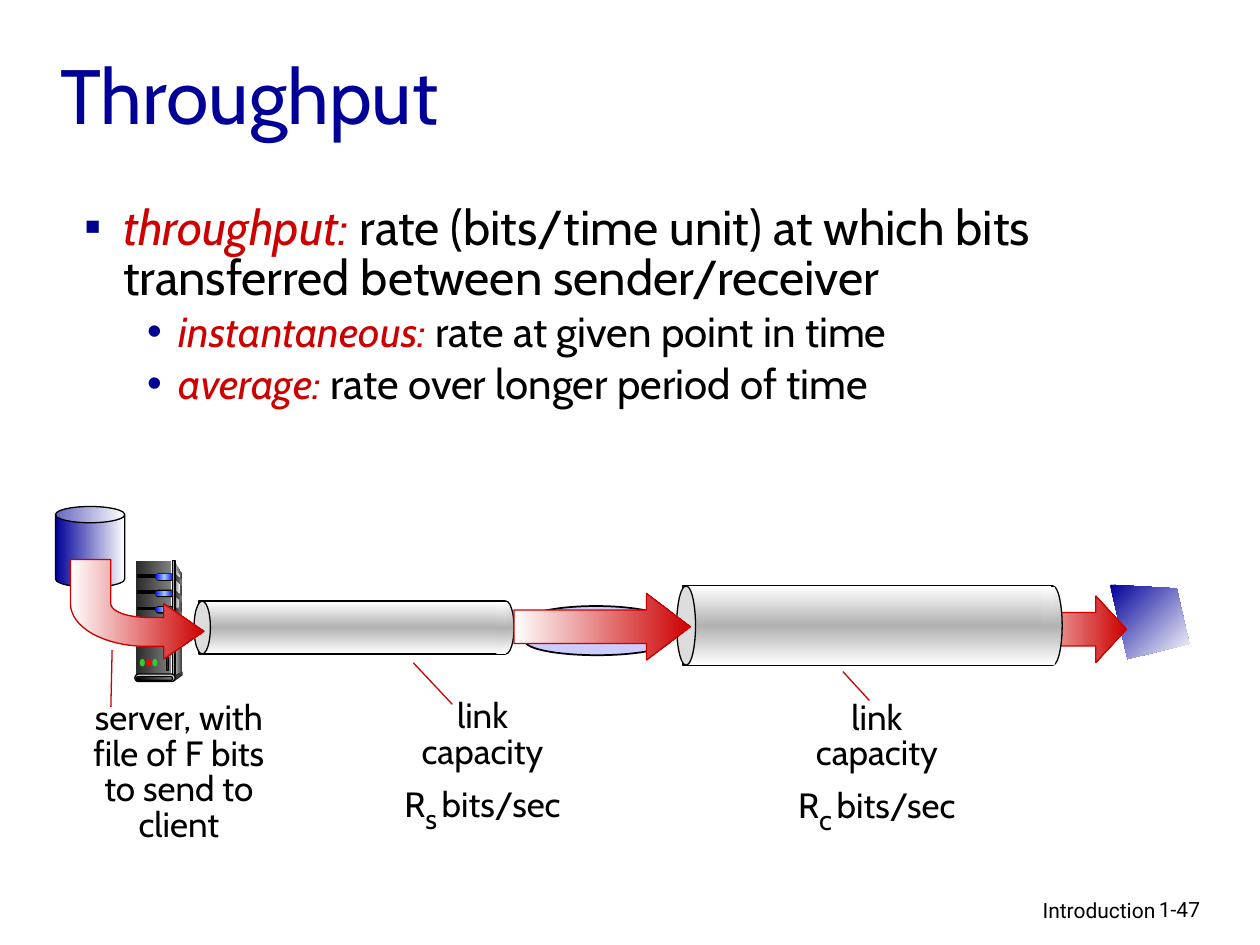
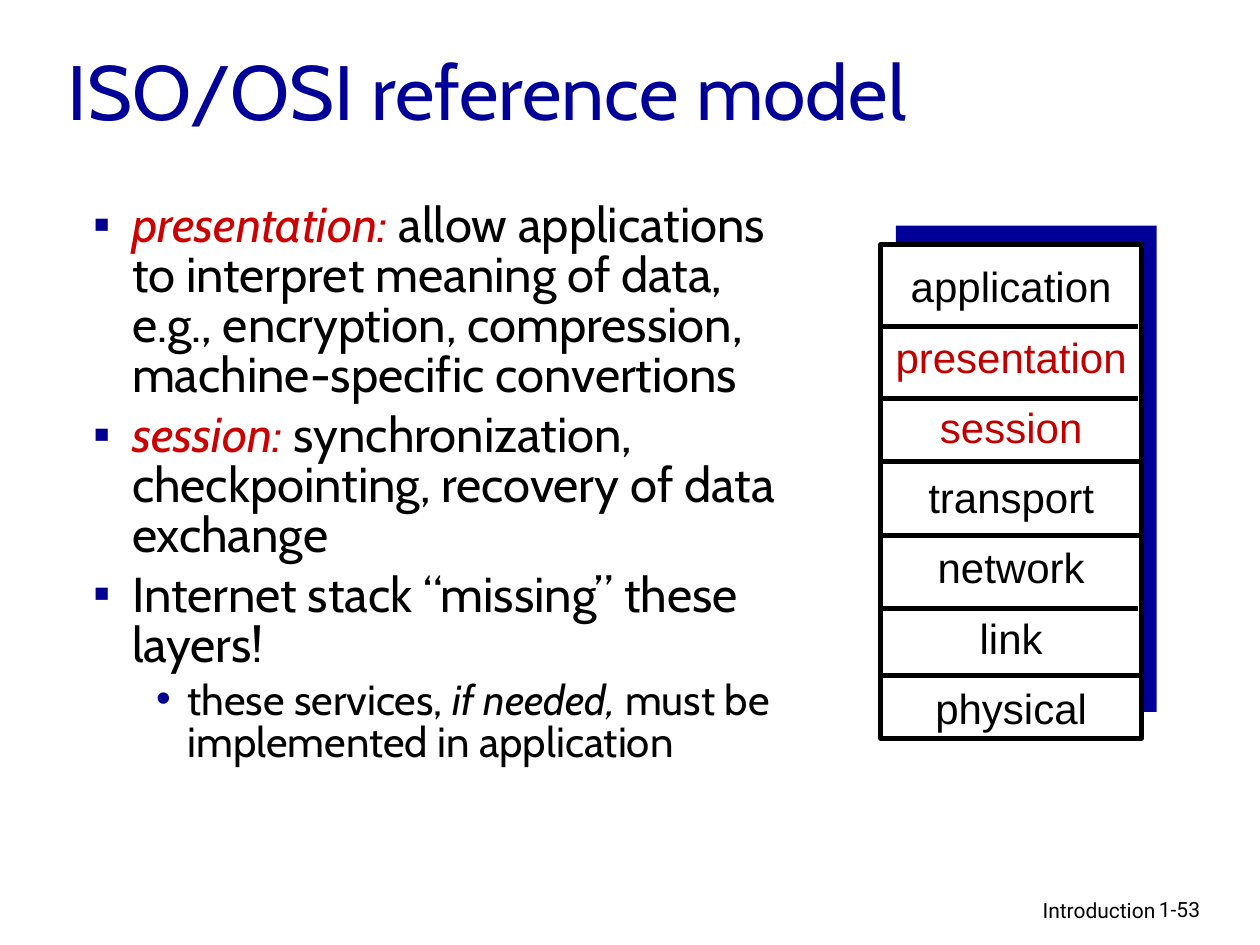
from dataclasses import dataclass

from lxml import etree
from pptx import Presentation
from pptx.dml.color import RGBColor
from pptx.enum.shapes import MSO_CONNECTOR, MSO_SHAPE
from pptx.enum.text import MSO_ANCHOR, PP_ALIGN
from pptx.oxml.ns import qn
from pptx.util import Pt

PX = 9144  # 100 px to the inch

RECT, ELLIPSE, CAN = MSO_SHAPE.RECTANGLE, MSO_SHAPE.OVAL, MSO_SHAPE.CAN
PILL, ARROW = MSO_SHAPE.ROUNDED_RECTANGLE, MSO_SHAPE.RIGHT_ARROW
LEFT, CENTER, RIGHT = PP_ALIGN.LEFT, PP_ALIGN.CENTER, PP_ALIGN.RIGHT
TOP, MIDDLE = MSO_ANCHOR.TOP, MSO_ANCHOR.MIDDLE
STRAIGHT = MSO_CONNECTOR.STRAIGHT

BLACK = RGBColor(0x00, 0x00, 0x00)
WHITE = RGBColor(0xFF, 0xFF, 0xFF)
NAVY = RGBColor(0x00, 0x00, 0x99)
BULLET_NAVY = RGBColor(0x00, 0x00, 0x90)
RED = RGBColor(0xCC, 0x00, 0x00)
LAYER_RED = RGBColor(0xC0, 0x00, 0x00)
LAVENDER = RGBColor(0xCC, 0xCC, 0xFF)
BLUE = RGBColor(0x00, 0x00, 0xFF)
SKY = RGBColor(0x99, 0xCC, 0xFF)
LED_GREEN = RGBColor(0x33, 0xCC, 0x33)
LED_RED = RGBColor(0xFF, 0x00, 0x00)
COAL = RGBColor(0x29, 0x29, 0x29)
DARK = RGBColor(0x33, 0x33, 0x33)
GRAY = RGBColor(0x80, 0x80, 0x80)
SILVER = RGBColor(0xB2, 0xB2, 0xB2)
LIGHT = RGBColor(0xDD, 0xDD, 0xDD)

HEADING_FONT, LAYER_FONT, FOOTER_FONT = "Cabin", "Arial", "Roboto"

Box = tuple[int, int, int, int]
Point = tuple[float, float]


@dataclass(frozen=True)
class Gradient:
    """Evenly spaced colour stops; the angle runs clockwise."""
    stops: tuple[RGBColor, ...]
    angle: int = 0


Fill = RGBColor | Gradient
NAVY_FADE = Gradient((NAVY, WHITE))
RED_FADE = Gradient((WHITE, RED))
PIPE_SHEEN = Gradient((WHITE, SILVER, WHITE), 90)
COAL_FADE = Gradient((COAL, GRAY))
LAMP = Gradient((BLUE, SKY, BLUE))


@dataclass(frozen=True)
class Run:
    text: str
    color: RGBColor | None = None
    italic: bool = False
    size: float | None = None
    baseline: int = 0


@dataclass(frozen=True)
class Bullet:
    mark: str
    level: int
    size: int
    indent: int
    hang: int


@dataclass(frozen=True)
class Para:
    runs: tuple[Run, ...]
    bullet: Bullet | None = None


@dataclass(frozen=True)
class Pipe:
    left: int
    top: int
    width: int
    height: int
    cap: int


MAIN = Bullet("▪", 0, 28, 31, 31)
SUB = Bullet("•", 1, 24, 75, 25)


def term(text: str) -> Run:
    return Run(text, RED, True)


def para(*parts: str | Run, bullet: Bullet | None = None) -> Para:
    return Para(tuple(Run(p) if isinstance(p, str) else p for p in parts), bullet)


def emu(*lengths: float) -> list[int]:
    return [round(length * PX) for length in lengths]


def add_bullet(paragraph, bullet: Bullet) -> None:
    paragraph.level = bullet.level
    props = paragraph._p.get_or_add_pPr()
    props.set("marL", str(bullet.indent * PX))
    props.set("indent", str(-bullet.hang * PX))
    color = etree.SubElement(props, qn("a:buClr"))
    etree.SubElement(color, qn("a:srgbClr"), val=str(BULLET_NAVY))
    etree.SubElement(props, qn("a:buFont"), typeface=LAYER_FONT)
    etree.SubElement(props, qn("a:buChar"), char=bullet.mark)


def add_text(slide, box: Box, paras: list[Para], *, font: str = HEADING_FONT,
             size: float = 20, color: RGBColor = BLACK, align=LEFT, anchor=TOP,
             line_spacing: float = 1.0, gap: float = 0) -> None:
    """Bulleted paragraphs take their size and gap from their bullet."""
    frame = slide.shapes.add_textbox(*emu(*box)).text_frame
    frame.word_wrap = True
    frame.vertical_anchor = anchor
    for index, content in enumerate(paras):
        paragraph = frame.add_paragraph() if index else frame.paragraphs[0]
        bullet = content.bullet
        base_size = bullet.size if bullet else size
        if bullet:
            add_bullet(paragraph, bullet)
        paragraph.alignment = align
        paragraph.line_spacing = line_spacing
        if index:
            paragraph.space_before = Pt(0.2 * base_size if bullet else gap)
        for part in content.runs:
            run = paragraph.add_run()
            run.text = part.text
            run.font.name = font
            run.font.size = Pt(part.size or base_size)
            run.font.italic = part.italic
            run.font.color.rgb = part.color or color
            if part.baseline:
                run.font._element.set("baseline", str(part.baseline * 1000))


def paint(shape, fill: Fill, line: RGBColor | None, weight: float) -> None:
    shape.shadow.inherit = False
    if isinstance(fill, Gradient):
        shape.fill.gradient()
        gradient = shape._element.spPr.find(qn("a:gradFill"))
        stops = gradient.find(qn("a:gsLst"))
        stops.clear()
        for index, color in enumerate(fill.stops):
            position = index * 100000 // (len(fill.stops) - 1)
            stop = etree.SubElement(stops, qn("a:gs"), pos=str(position))
            etree.SubElement(stop, qn("a:srgbClr"), val=str(color))
        gradient.find(qn("a:lin")).set("ang", str(fill.angle * 60000))
    else:
        shape.fill.solid()
        shape.fill.fore_color.rgb = fill
    if line is None:
        shape.line.fill.background()
    else:
        shape.line.color.rgb = line
        shape.line.width = Pt(weight)


def add_preset(slide, kind, box: Box, fill: Fill, line: RGBColor | None = None,
               weight: float = 0.75, adjust: tuple[float, ...] = ()) -> None:
    shape = slide.shapes.add_shape(kind, *emu(*box))
    for index, value in enumerate(adjust):
        shape.adjustments[index] = value
    paint(shape, fill, line, weight)


def add_outline(slide, points: list[Point], fill: Fill,
                line: RGBColor | None = None) -> None:
    start, *rest = [tuple(emu(*point)) for point in points]
    builder = slide.shapes.build_freeform(*start, scale=1.0)
    builder.add_line_segments(rest, close=True)
    paint(builder.convert_to_shape(), fill, line, 0.75)


def add_line(slide, ends: Box, color: RGBColor, weight: float) -> None:
    line = slide.shapes.add_connector(STRAIGHT, *emu(*ends))
    line.line.color.rgb = color
    line.line.width = Pt(weight)
    etree.SubElement(line._element.spPr, qn("a:effectLst"))


def curve(a: Point, b: Point, c: Point, d: Point, steps: int = 16) -> list[Point]:
    """Points along a cubic Bézier curve."""
    points = []
    for step in range(steps + 1):
        t = step / steps
        weights = ((1 - t) ** 3, 3 * t * (1 - t) ** 2, 3 * t * t * (1 - t), t ** 3)
        points.append(tuple(sum(w * p[axis] for w, p in zip(weights, (a, b, c, d)))
                            for axis in (0, 1)))
    return points


def add_server(slide) -> None:
    add_outline(slide, [(138, 445), (145, 457), (145, 533), (137, 537)],
                Gradient((LIGHT, DARK)))
    add_preset(slide, RECT, (108, 445, 28, 91), COAL_FADE)
    add_outline(slide, [(139, 451), (143, 458), (140, 500), (139, 535)],
                Gradient((GRAY, WHITE)))
    for top in range(455, 494, 13):
        add_preset(slide, RECT, (109, top + 1, 16, 2), BLACK, BLACK)
        add_preset(slide, PILL, (123, top, 16, 6), BLACK, adjust=(0.5,))
        add_preset(slide, PILL, (123, top + 1, 15, 4), LAMP, adjust=(0.5,))
        add_outline(slide, [(138, top), (145, top + 6), (145, top + 10),
                            (138, top + 4)], COAL_FADE)
    add_preset(slide, RECT, (137, 445, 2, 91), Gradient((DARK, LIGHT, DARK)), BLACK)
    add_outline(slide, [(138, 536), (138, 541), (145, 536), (145, 533)], DARK)
    add_preset(slide, PILL, (107, 535, 32, 6), LIGHT, BLACK, adjust=(0.5,))
    add_preset(slide, PILL, (108, 537, 29, 3), Gradient((BLACK, GRAY)), BLACK,
               adjust=(0.5,))
    for index, led in enumerate((LED_GREEN, LED_RED, LED_GREEN)):
        add_preset(slide, ELLIPSE, (111 + 5 * index, 523, 4, 6), led)
    add_preset(slide, RECT, (132, 502, 2, 30), COAL, BLACK)


def add_pipe(slide, pipe: Pipe) -> None:
    right_cap = pipe.left + pipe.width - pipe.cap
    body_left = pipe.left + pipe.cap // 3
    body_width = right_cap + pipe.cap // 2 - body_left
    add_preset(slide, ELLIPSE, (right_cap, pipe.top, pipe.cap, pipe.height),
               PIPE_SHEEN, BLACK)
    add_preset(slide, RECT, (body_left, pipe.top, body_width, pipe.height),
               PIPE_SHEEN, BLACK)
    add_preset(slide, ELLIPSE, (pipe.left, pipe.top, pipe.cap, pipe.height),
               LIGHT, BLACK)
    add_preset(slide, RECT, (right_cap - 1, pipe.top + 1, pipe.cap * 2 // 3,
                             pipe.height - 1), PIPE_SHEEN)


def start_slide(deck, title: str, title_box: Box, page: str):
    slide = deck.slides.add_slide(deck.slide_layouts[6])
    add_text(slide, (610, 707, 317, 31), [para("Introduction")],
             font=FOOTER_FONT, size=12, align=RIGHT)
    add_text(slide, (910, 707, 74, 30), [para(page)], font=FOOTER_FONT, size=12)
    add_text(slide, title_box, [para(title)], size=44, color=NAVY, anchor=MIDDLE)
    return slide


def build_throughput(deck) -> None:
    slide = start_slide(deck, "Throughput", (38, 12, 850, 125), "1-47")
    add_preset(slide, CAN, (44, 402, 55, 64), NAVY_FADE, BLACK, adjust=(0.235,))
    add_server(slide)
    add_outline(slide, [(881, 464), (934, 467), (944, 511), (895, 523)],
                Gradient((NAVY, WHITE), 45))
    add_text(slide, (57, 158, 850, 195), [
        para(term("throughput:"), " rate (bits/time unit) at which bits transferred"
             " between sender/receiver", bullet=MAIN),
        para(term("instantaneous:"), " rate at given point in time", bullet=SUB),
        para(term("average:"), " rate over longer period of time", bullet=SUB),
    ], line_spacing=0.85)

    server_note = [para("server, with"), para("file of F bits"),
                   para("to send to client")]
    add_text(slide, (42, 552, 200, 95), server_note, align=CENTER, line_spacing=0.85)
    for left, top, link in ((305, 551, "s"), (618, 552, "c")):
        rate = para("R", Run(link, size=28, baseline=-25),
                    Run(" ", baseline=-25), "bits/sec")
        add_text(slide, (left, top, 156, 67), [para("link capacity"), rate],
                 align=CENTER, line_spacing=0.85)
    for leader in ((359, 559, 328, 526), (690, 556, 669, 533), (89, 516, 88, 561)):
        add_line(slide, leader, RED, 0.75)

    for router_disc in ((417, 498, 114, 22), (416, 481, 114, 25)):
        add_preset(slide, ELLIPSE, router_disc, LAVENDER, BLACK, 1)
    add_preset(slide, ARROW, (797, 473, 97, 53), RED_FADE, RED, adjust=(0.5, 0.458))
    add_pipe(slide, Pipe(154, 477, 254, 42, 13))
    add_pipe(slide, Pipe(537, 465, 306, 63, 15))
    add_preset(slide, ARROW, (408, 471, 140, 53), RED_FADE, RED, adjust=(0.5, 0.658))
    outer_bend = curve((117, 513), (83, 513), (56, 498), (56, 479))
    inner_bend = curve((88, 479), (88, 485), (101, 490), (117, 490))
    add_outline(slide, [(162, 501), (130, 523), (130, 513), *outer_bend, (56, 444),
                        (88, 444), *inner_bend, (130, 490), (130, 479)],
                RED_FADE, RED)


def build_reference_model(deck) -> None:
    slide = start_slide(deck, "ISO/OSI reference model", (44, 9, 711, 125), "1-53")
    add_text(slide, (64, 156, 564, 508), [
        para(term("presentation:"), " allow applications to interpret meaning of data,"
             " e.g., encryption, compression, machine-specific convertions",
             bullet=MAIN),
        para(term("session:"), " synchronization, checkpointing, recovery of data"
             " exchange", bullet=MAIN),
        para("Internet stack “missing” these layers!", bullet=MAIN),
        para("these services, ", Run("if needed,", italic=True),
             " must be implemented in application", bullet=SUB),
    ], line_spacing=0.85)

    add_preset(slide, RECT, (711, 179, 207, 386), NAVY)
    add_preset(slide, RECT, (699, 194, 207, 392), WHITE, BLACK, 3)
    layers = ["application", Run("presentation", LAYER_RED), Run("session", LAYER_RED),
              "transport", "network", "link", "physical"]
    add_text(slide, (694, 213, 217, 378), [para(layer) for layer in layers],
             font=LAYER_FONT, size=24, align=CENTER, line_spacing=0.7, gap=20)
    for left, y in ((697, 259), (697, 316), (698, 366), (698, 425), (697, 483),
                    (698, 536)):
        add_line(slide, (left, y, left + 206, y), BLACK, 3)


def main() -> None:
    deck = Presentation()
    deck.slide_width, deck.slide_height = emu(1000, 750)
    build_throughput(deck)
    build_reference_model(deck)
    deck.save("out.pptx")


if __name__ == "__main__":
    main()
